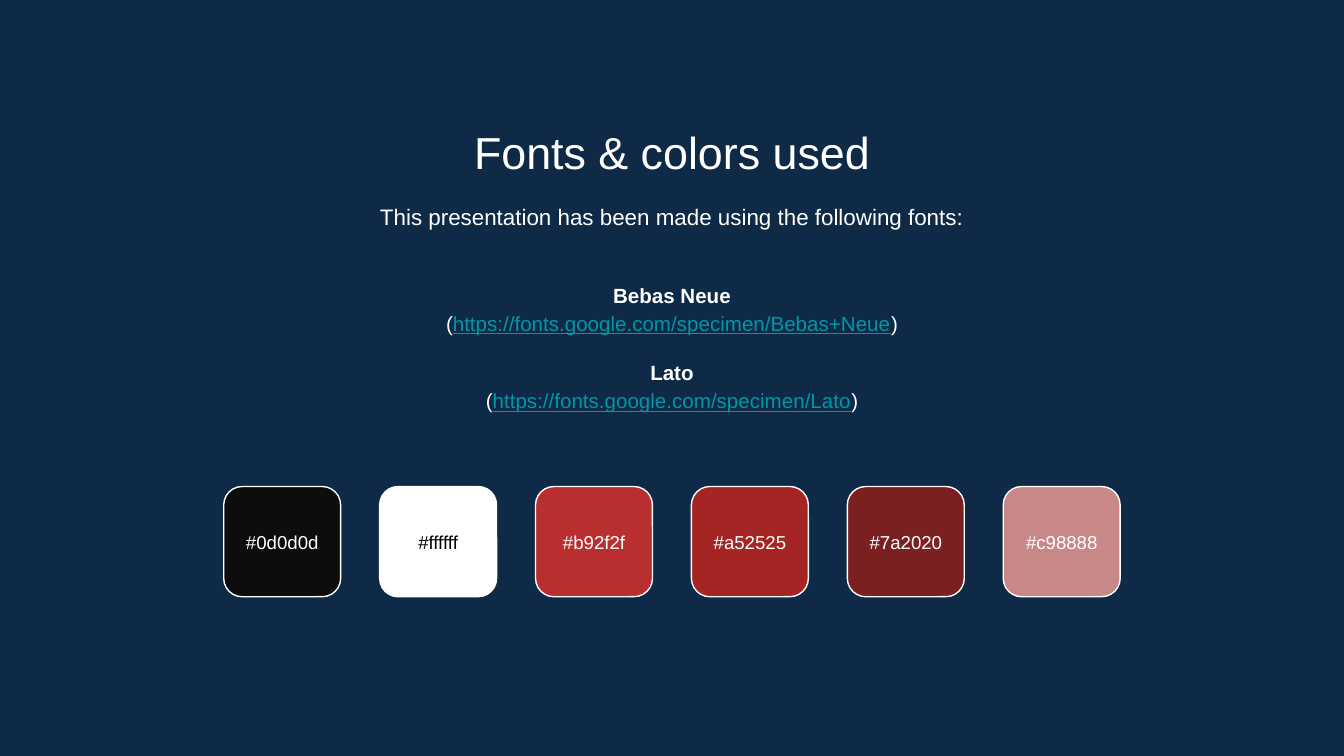
from dataclasses import dataclass

from pptx import Presentation
from pptx.dml.color import RGBColor
from pptx.enum.shapes import MSO_SHAPE
from pptx.enum.text import MSO_ANCHOR, MSO_AUTO_SIZE, PP_ALIGN
from pptx.oxml.xmlchemy import OxmlElement
from pptx.util import Inches, Pt


@dataclass(frozen=True)
class Theme:
    font: str = "Arial"
    background: str = "0E2A47"
    light: str = "FFFFFF"
    dark: str = "000000"
    link: str = "0097A7"
    title_size: float = 24
    intro_size: float = 12
    font_list_size: float = 11
    swatch_size: float = 10


THEME = Theme()
SLIDE_WIDTH = 10
SLIDE_HEIGHT = SLIDE_WIDTH * 9 / 16
TEXT_LEFT, TEXT_WIDTH = 1.15, 7.7
SWATCH_TOP, SWATCH_WIDTH, SWATCH_HEIGHT, SWATCH_PITCH = 3.62, 0.87, 0.82, 1.16
SWATCHES = ["0d0d0d", "ffffff", "b92f2f", "a52525", "7a2020", "c98888"]
FONTS = [
    ("Bebas Neue", "https://fonts.google.com/specimen/Bebas+Neue"),
    ("Lato", "https://fonts.google.com/specimen/Lato"),
]


def color(value):
    return RGBColor.from_string(value.upper())


def prepare_frame(box, anchor, inset=0.1):
    frame = box.text_frame
    frame.word_wrap = True
    frame.auto_size = MSO_AUTO_SIZE.NONE
    frame.vertical_anchor = anchor
    frame.margin_left = frame.margin_right = Inches(inset)
    frame.margin_top = frame.margin_bottom = Inches(inset)
    return frame


def style_paragraph(para, size, text_color=THEME.light, bold=False):
    para.alignment = PP_ALIGN.CENTER
    para.font.name = THEME.font
    para.font.size = Pt(size)
    para.font.bold = bold
    para.font.color.rgb = color(text_color)


def style_body_paragraph(para, size, bold=False, space_before=0):
    properties = para._p.get_or_add_pPr()
    properties.set("marL", "0")
    properties.set("indent", "0")
    properties.append(OxmlElement("a:buNone"))
    para.line_spacing = 1.15
    para.space_before = Pt(space_before)
    style_paragraph(para, size, bold=bold)


def place_placeholder(box, top, height, anchor=MSO_ANCHOR.TOP):
    box.left, box.top = Inches(TEXT_LEFT), Inches(top)
    box.width, box.height = Inches(TEXT_WIDTH), Inches(height)
    return prepare_frame(box, anchor)


def fill_title(box):
    para = place_placeholder(box, 0.83, 0.53).paragraphs[0]
    para.text = "Fonts & colors used"
    style_paragraph(para, THEME.title_size)


def fill_intro(box):
    para = place_placeholder(box, 1.38, 0.48).paragraphs[0]
    para.text = "This presentation has been made using the following fonts:"
    style_body_paragraph(para, THEME.intro_size)


def fill_font_list(box):
    frame = place_placeholder(box, 1.89, 1.37, MSO_ANCHOR.MIDDLE)
    for index, (name, address) in enumerate(FONTS):
        heading = frame.add_paragraph() if index else frame.paragraphs[0]
        heading.text = name
        style_body_paragraph(heading, THEME.font_list_size, True, 11 if index else 0)
        para = frame.add_paragraph()
        style_body_paragraph(para, THEME.font_list_size)
        for text in ("(", address, ")"):
            span = para.add_run()
            span.text = text
            if text == address:
                span.font.underline = True
                span.font.color.rgb = color(THEME.link)


def add_swatch(page, left, value):
    swatch = page.shapes.add_shape(
        MSO_SHAPE.ROUNDED_RECTANGLE,
        Inches(left), Inches(SWATCH_TOP), Inches(SWATCH_WIDTH), Inches(SWATCH_HEIGHT),
    )
    swatch.shadow.inherit = False
    swatch.fill.solid()
    swatch.fill.fore_color.rgb = color(value)
    swatch.line.color.rgb = color(THEME.light)
    swatch.line.width = Pt(0.75)
    para = prepare_frame(swatch, MSO_ANCHOR.MIDDLE, 0.05).paragraphs[0]
    para.text = f"#{value}"
    label_color = THEME.dark if value.upper() == THEME.light else THEME.light
    style_paragraph(para, THEME.swatch_size, label_color)


def add_swatches(page):
    row_width = SWATCH_PITCH * (len(SWATCHES) - 1) + SWATCH_WIDTH
    first_left = (SLIDE_WIDTH - row_width) / 2
    for index, value in enumerate(SWATCHES):
        add_swatch(page, first_left + index * SWATCH_PITCH, value)


def main():
    deck = Presentation()
    deck.slide_width, deck.slide_height = Inches(SLIDE_WIDTH), Inches(SLIDE_HEIGHT)
    page = deck.slides.add_slide(deck.slide_layouts.get_by_name("Two Content"))
    page.background.fill.solid()
    page.background.fill.fore_color.rgb = color(THEME.background)
    title, intro, font_list = page.placeholders
    fill_title(title)
    fill_intro(intro)
    fill_font_list(font_list)
    add_swatches(page)
    deck.save("out.pptx")


if __name__ == "__main__":
    main()
